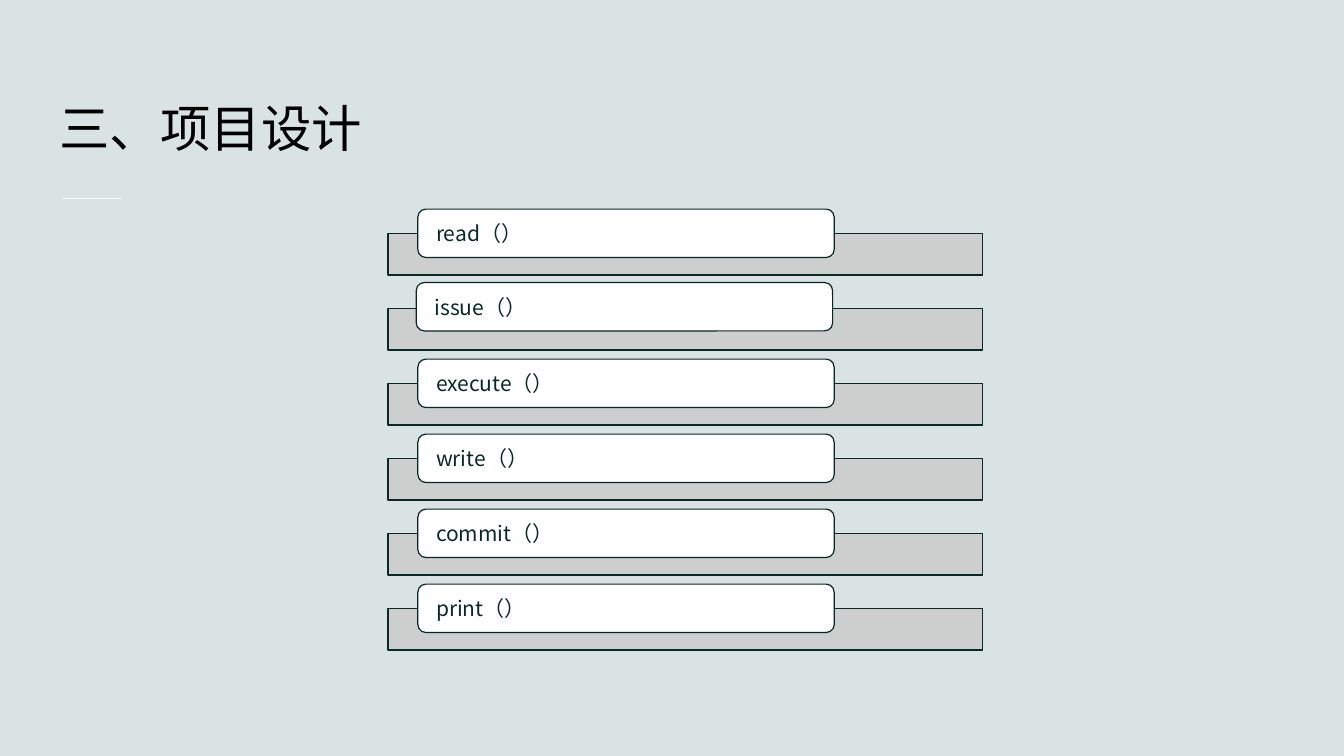
from dataclasses import dataclass

from lxml.etree import SubElement
from pptx import Presentation
from pptx.dml.color import RGBColor as Rgb
from pptx.enum.shapes import MSO_CONNECTOR as Link, MSO_SHAPE as Form
from pptx.enum.text import MSO_ANCHOR as Anchor, MSO_AUTO_SIZE as Fit, PP_ALIGN as Align
from pptx.oxml.ns import qn
from pptx.util import Cm, Pt


@dataclass(frozen=True)
class Theme:
    font: str = "Noto Sans CJK SC"
    back: str = "DAE3E3"
    head: str = "000000"
    ink: str = "0B2827"
    edge: str = "0A2423"
    bar: str = "CCCDCD"
    white: str = "FFFFFF"
    large: float = 36
    body: float = 15
    thin: float = 0.85


THEME = Theme()
STEPS = ["read（）", "issue（）", "execute（）", "write（）", "commit（）", "print（）"]
SHIFT = {1: -0.04}  # the second label sits slightly up and left


def write(shape, text, size, color, anchor=Anchor.MIDDLE, pads=(0, 0, 0, 0)):
    """Fill a shape with left-aligned text; pads are left, top, right, bottom in cm."""
    frame = shape.text_frame
    frame.word_wrap = True
    frame.auto_size = Fit.NONE
    frame.vertical_anchor = anchor
    (frame.margin_left, frame.margin_top,
     frame.margin_right, frame.margin_bottom) = map(Cm, pads)
    para = frame.paragraphs[0]
    para.alignment = Align.LEFT
    run = para.add_run()
    run.text = text
    run.font.size = Pt(size)
    run.font.name = THEME.font
    run.font.color.rgb = Rgb.from_string(color)
    SubElement(run.font._element, qn("a:ea"), typeface=THEME.font)


def block(parent, form, box, fill, line):
    shape = parent.shapes.add_shape(form, *map(Cm, box))
    shape.shadow.inherit = False
    shape.fill.solid()
    shape.fill.fore_color.rgb = Rgb.from_string(fill)
    shape.line.color.rgb = Rgb.from_string(line)
    shape.line.width = Pt(THEME.thin)
    return shape


def fade(shape, share):
    """Set the fill opacity in percent."""
    color = shape.fill._xPr.find(qn("a:solidFill"))[0]
    SubElement(color, qn("a:alpha"), val=str(share * 1000))


def header(slide, box, text):
    left, top, width, height = box
    title = slide.shapes.title
    title.left, title.top, title.width, title.height = map(Cm, box)
    write(title, text, THEME.large, THEME.head, Anchor.BOTTOM, (0, 0.13, 0.25, 0.13))
    x, y = left + 0.07, top + height + 0.9
    rule = slide.shapes.add_connector(Link.STRAIGHT, Cm(x), Cm(y), Cm(x + 1.5), Cm(y))
    rule.line.color.rgb = Rgb.from_string(THEME.white)
    rule.line.width = Pt(1)
    SubElement(rule._element.spPr, qn("a:effectLst"))


def step(parent, box, text, shift=0):
    """Draw a bar with a label that overlaps its top edge."""
    left, top, width, height = box
    fade(block(parent, Form.RECTANGLE, box, THEME.bar, THEME.ink), 90)
    place = left + 0.75 + shift, top - 0.62 + shift, width * 0.7, 1.22
    label = block(parent, Form.ROUNDED_RECTANGLE, place, THEME.white, THEME.edge)
    write(label, text, THEME.body, THEME.ink, pads=(0.4, 0, 0.4, 0))


def steps(slide, box, names):
    left, top, width, height = box
    group = slide.shapes.add_group_shape()
    pitch = height / len(names)
    for i, name in enumerate(names):
        step(group, (left, top + i * pitch, width, 1.04), name, SHIFT.get(i, 0))


def main():
    deck = Presentation()
    deck.slide_width, deck.slide_height = Cm(33.87), Cm(19.05)
    slide = deck.slides.add_slide(deck.slide_layouts[5])
    slide.background.fill.solid()
    slide.background.fill.fore_color.rgb = Rgb.from_string(THEME.back)
    header(slide, (1.5, 0.8, 30.84, 3.3), "三、项目设计")
    steps(slide, (9.78, 5.89, 14.99, 11.34), STEPS)
    deck.save("out.pptx")


if __name__ == "__main__":
    main()
